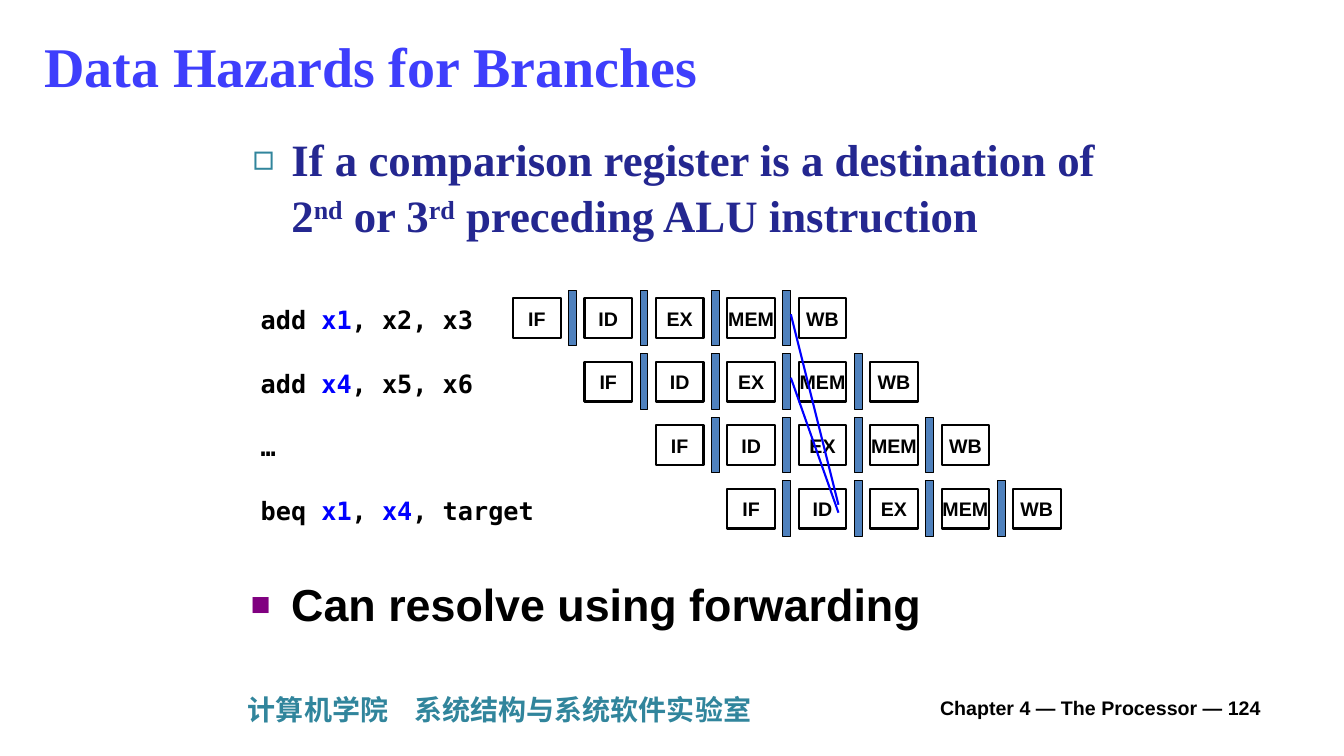
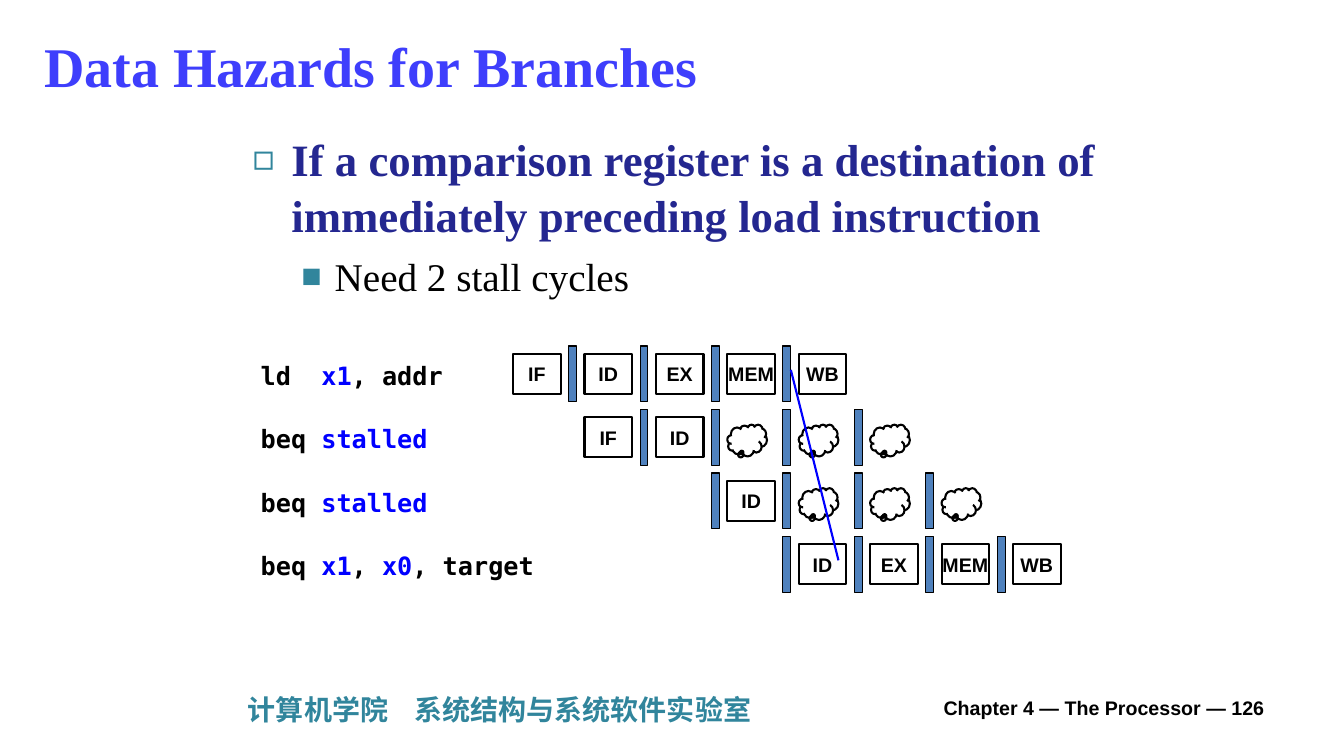
from dataclasses import dataclass
from itertools import cycle

from lxml.etree import SubElement
from pptx import Presentation
from pptx.dml.color import RGBColor as RGB
from pptx.enum.shapes import MSO_CONNECTOR as Line, MSO_SHAPE as Shape
from pptx.enum.text import MSO_ANCHOR as Anchor, MSO_AUTO_SIZE as Fit, PP_ALIGN as Align
from pptx.oxml.ns import qn
from pptx.util import Cm, Pt

SERIF, SANS, MONO, CJK = "Times New Roman", "Arial", "DejaVu Sans Mono", "Noto Sans CJK SC"


def look(name, size, color, bold=True):
    return dict(name=name, size=Pt(size), bold=bold, color=RGB.from_string(color))


@dataclass(frozen=True)
class Theme:
    black = RGB.from_string("000000")
    register = RGB.from_string("4F81BD")
    forward = RGB.from_string("0000FF")
    stage_line = Pt(1.5)
    register_line = Pt(0.75)
    title = look(SERIF, 40, "3E3EFC")
    point = look(SERIF, 32, "242790")
    detail = look(SERIF, 28, "000000", False)
    remark = look(SANS, 32, "000000")
    code = look(MONO, 18, "000000")
    operand = look(MONO, 18, "0000FF")
    stage = look(SANS, 14, "000000")
    lab = look(CJK, 20, "31859C")
    point_bullet = dict(char="◻", color="31859C", size=80, margin=0.97, hang=0.97)
    detail_bullet = dict(char="■", color="31859C", size=70, margin=2.06, hang=0.79)
    remark_bullet = dict(char="■", color="800080", size=60, margin=0.97, hang=0.97)


T = Theme()
COLUMN, ROW = 1.8, 1.6
STAGE_W, STAGE_H = 1.2, 1.0
REGISTER_W, REGISTER_H = 0.2, 1.4
REGISTER_LEAD = 0.4
GRID_LEFT, LABEL_LEFT = 12.93, 6.32
STALL = "stall"


def box_cm(*lengths):
    return [Cm(round(n, 2)) for n in lengths]


def place(sp, *box):
    for name, value in zip(("left", "top", "width", "height"), box_cm(*box)):
        setattr(sp, name, value)


def write(p, text, fmt, marked=None, baseline=None):
    for piece, is_marked in zip(text.split("|"), cycle((False, True))):
        if not piece:
            continue
        r = p.add_run()
        r.text = piece
        for name, value in (marked if is_marked and marked else fmt).items():
            if name == "color":
                r.font.color.rgb = value
            else:
                setattr(r.font, name, value)
        rPr = r._r.get_or_add_rPr()
        SubElement(rPr, qn("a:ea")).set("typeface", fmt["name"])
        if is_marked and baseline:
            rPr.set("baseline", str(baseline))


def set_frame(tf, **values):
    values = dict(word_wrap=True, auto_size=Fit.NONE) | values
    for name, value in values.items():
        setattr(tf, name, value)
    return tf.paragraphs[0]


def add_text(s, box, text, fmt, marked=None, **frame):
    sp = s.shapes.add_textbox(*box_cm(*box))
    write(set_frame(sp.text_frame, **frame), text, fmt, marked)
    return sp


def set_bullet(p, char, color, size, margin, hang):
    pPr = p._p.get_or_add_pPr()
    pPr.set("marL", str(Cm(margin)))
    pPr.set("indent", str(-Cm(hang)))
    SubElement(SubElement(pPr, qn("a:buClr")), qn("a:srgbClr")).set("val", color)
    for tag, name, value in (
        ("a:buSzPct", "val", str(size * 1000)),
        ("a:buFont", "typeface", MONO),
        ("a:buChar", "char", char),
    ):
        SubElement(pPr, qn(tag)).set(name, value)


def add_point(p, text, fmt, bullet, before=0, level=0):
    p.level = level
    set_bullet(p, **bullet)
    p.line_spacing = 1.05
    p.space_before = Pt(before)
    write(p, text, fmt, baseline=30000)


def add_outline(shapes, kind, box, width, fill=None):
    sp = shapes.add_shape(kind, *box_cm(*box))
    sp.shadow.inherit = False
    sp.line.color.rgb = T.black
    sp.line.width = width
    if fill is None:
        sp.fill.background()
    else:
        sp.fill.solid()
        sp.fill.fore_color.rgb = fill
    return sp


def add_stage(shapes, left, top, name):
    if name == STALL:
        cloud = add_outline(shapes, Shape.CLOUD_CALLOUT, (left, top + 0.18, 1.0, 0.8), T.stage_line)
        cloud.adjustments[0], cloud.adjustments[1] = -0.13, 0.36
        return
    sp = add_outline(shapes, Shape.RECTANGLE, (left, top, STAGE_W, STAGE_H), T.stage_line)
    p = set_frame(sp.text_frame, word_wrap=False, vertical_anchor=Anchor.MIDDLE)
    p.alignment = Align.CENTER
    write(p, name, T.stage)


def add_pipeline_row(s, left, top, first_column, stages):
    shapes = s.shapes.add_group_shape().shapes
    for column, name in enumerate(stages.split(), first_column):
        x = left + column * COLUMN
        add_stage(shapes, x, top, name)
        if name != "IF":
            register = (x - REGISTER_LEAD, top - 0.2, REGISTER_W, REGISTER_H)
            add_outline(shapes, Shape.RECTANGLE, register, T.register_line, T.register)


def add_forward(s, left, top, from_row, drop):
    start_x = left + 4 * COLUMN - REGISTER_LEAD + REGISTER_W
    start_y = top + from_row * ROW + 0.4
    end_x, end_y = left + 4 * COLUMN + 1, top + 3 * ROW + drop
    line = s.shapes.add_connector(Line.STRAIGHT, *box_cm(start_x, start_y, end_x, end_y))
    line.line.color.rgb = T.forward
    line.line.width = T.stage_line
    SubElement(line.element.spPr, qn("a:effectLst"))


def add_pipeline(s, top, rows, forwards):
    for index, (code, first_column, stages) in enumerate(rows):
        row_top = top + index * ROW
        width = 0.6 + 0.385 * len(code.replace("|", ""))
        add_text(s, (LABEL_LEFT, row_top + 0.03, width, 1.02), code, T.code, T.operand)
        add_pipeline_row(s, GRID_LEFT, row_top, first_column, stages)
    for from_row, drop in forwards:
        add_forward(s, GRID_LEFT, top, from_row, drop)


def add_lab_footer(s, layout):
    sp = add_text(s, (6, 17.32, 24.54, 1.12), "计算机学院\t系统结构与系统软件实验室", T.lab)
    pPr = sp.text_frame.paragraphs[0]._p.get_or_add_pPr()
    tab = SubElement(SubElement(pPr, qn("a:tabLst")), qn("a:tab"))
    tab.set("pos", str(Cm(4.2)))
    tab.set("algn", "l")
    layout.shapes.element.append(sp.element)


def add_hazard_slide(prs, layout, number, footer_left, points, body_height, pipeline):
    s = prs.slides.add_slide(layout)
    title, body = s.shapes.title, s.placeholders[1]
    place(title, 0.86, 0.33, 29.16, 2.64)
    p = set_frame(title.text_frame, vertical_anchor=Anchor.MIDDLE)
    p.alignment = Align.LEFT
    write(p, "Data Hazards for Branches", T.title)
    place(body, 6.12, 3.12, 22.99, body_height)
    p = set_frame(body.text_frame, vertical_anchor=Anchor.TOP)
    add_point(p, points[0], T.point, T.point_bullet)
    for text in points[1:]:
        add_point(body.text_frame.add_paragraph(), text, T.detail, T.detail_bullet, 5.6, 1)
    add_pipeline(s, **pipeline)
    add_text(s, (footer_left, 17.32, 8.7, 1.02), f"Chapter 4 — The Processor — {number}",
             T.stage, vertical_anchor=Anchor.MIDDLE)
    return s


def add_remark(s, box, text):
    sp = s.shapes.add_textbox(*box_cm(*box))
    add_point(set_frame(sp.text_frame), text, T.remark, T.remark_bullet)


def main():
    prs = Presentation()
    prs.slide_width, prs.slide_height = box_cm(33.87, 19.05)
    layout = prs.slide_layouts[1]

    alu = add_hazard_slide(
        prs, layout, 124, 23.44,
        ["If a comparison register is a destination of 2|nd| or 3|rd| preceding ALU instruction"],
        3.4,
        dict(
            top=7.52,
            rows=[
                ("add |x1|, x2, x3", 0, "IF ID EX MEM WB"),
                ("add |x4|, x5, x6", 1, "IF ID EX MEM WB"),
                ("…", 2, "IF ID EX MEM WB"),
                ("beq |x1|, |x4|, target", 3, "IF ID EX MEM WB"),
            ],
            forwards=[(0, 0.4), (1, 0.6)],
        ),
    )
    add_remark(alu, (6.12, 14.33, 21.59, 1.8), "Can resolve using forwarding")
    add_lab_footer(alu, layout)

    add_hazard_slide(
        prs, layout, 126, 23.53,
        ["If a comparison register is a destination of immediately preceding load instruction",
         "Need 2 stall cycles"],
        6.6,
        dict(
            top=8.92,
            rows=[
                ("ld  |x1|, addr", 0, "IF ID EX MEM WB"),
                ("beq |stalled", 1, f"IF ID {STALL} {STALL} {STALL}"),
                ("beq |stalled", 3, f"ID {STALL} {STALL} {STALL}"),
                ("beq |x1|, |x0|, target", 4, "ID EX MEM WB"),
            ],
            forwards=[(0, 0.4)],
        ),
    )
    prs.save("out.pptx")


if __name__ == "__main__":
    main()
